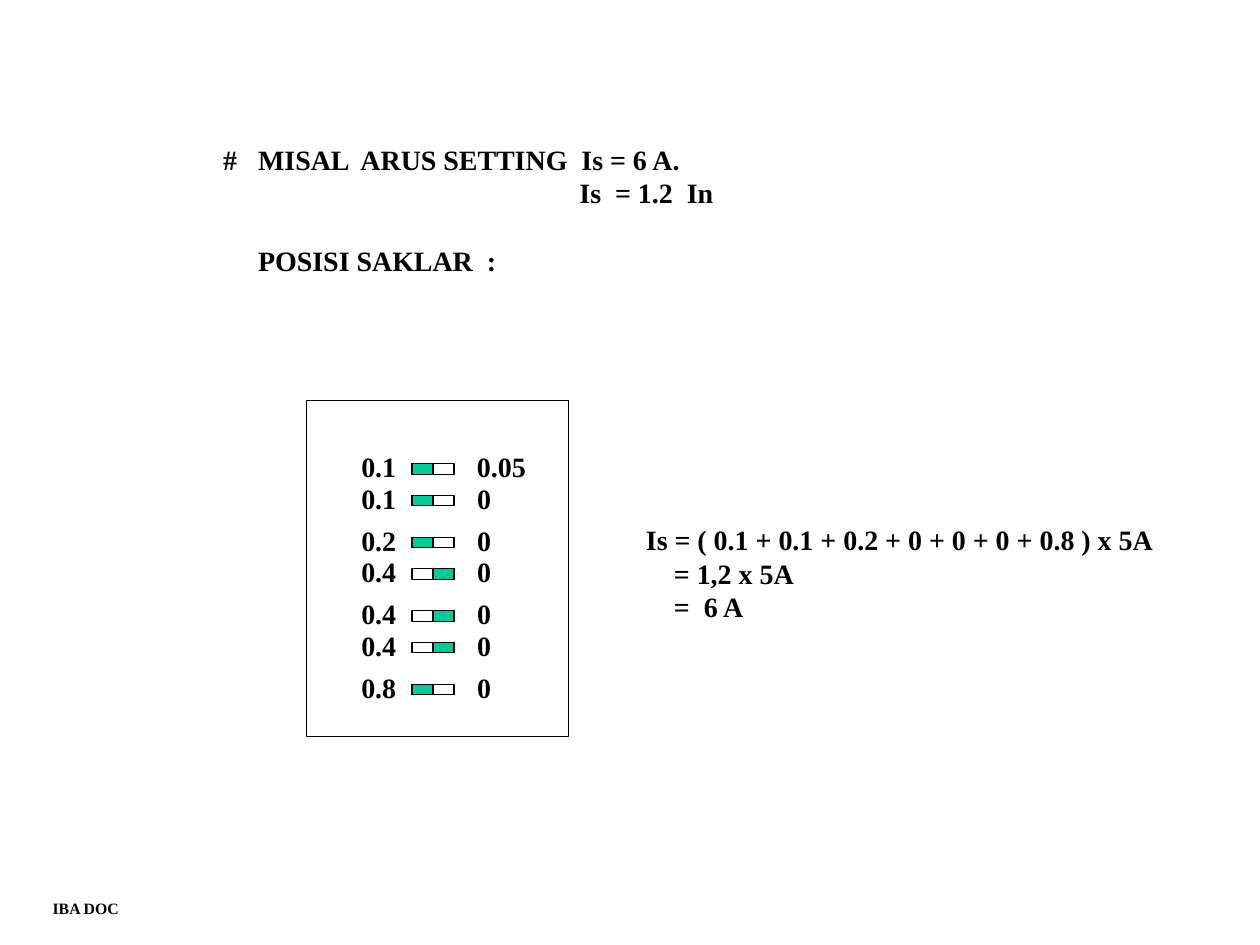
from pptx import Presentation
from pptx import util as u
from pptx.dml.color import RGBColor
from pptx.enum import shapes, text

BLACK = RGBColor(0x00, 0x00, 0x00)
GREEN = RGBColor(0x00, 0xCC, 0x99)
SWITCHES = [
    ("0.1", "0.05", True),
    ("0.1", "0", True),
    ("0.2", "0", True),
    ("0.4", "0", False),
    ("0.4", "0", False),
    ("0.4", "0", False),
    ("0.8", "0", True),
]


class SlideWriter:
    """Draws relay setting elements on one slide, with lengths in points."""

    def __init__(self, slide, font="Times New Roman"):
        self.slide = slide
        self.font = font

    def rectangle(self, left, top, width, height, fill=None):
        box = self.slide.shapes.add_shape(
            shapes.MSO_SHAPE.RECTANGLE, u.Pt(left), u.Pt(top), u.Pt(width), u.Pt(height))
        box.shadow.inherit = False
        if fill is None:
            box.fill.background()
        else:
            box.fill.solid()
            box.fill.fore_color.rgb = fill
        box.line.color.rgb = BLACK
        box.line.width = u.Pt(0.75)

    def label(self, left, top, width, height, lines, size=16):
        box = self.slide.shapes.add_textbox(u.Pt(left), u.Pt(top), u.Pt(width), u.Pt(height))
        frame = box.text_frame
        frame.word_wrap = True
        frame.auto_size = text.MSO_AUTO_SIZE.SHAPE_TO_FIT_TEXT
        frame.text = "\n".join(lines)
        for para in frame.paragraphs:
            for span in para.runs:
                span.font.name = self.font
                span.font.size = u.Pt(size)
                span.font.bold = True
                span.font.color.rgb = BLACK
        return frame.paragraphs

    def indent(self, para, margin, hanging=0):
        properties = para._p.get_or_add_pPr()
        properties.set("marL", str(u.Pt(margin)))
        properties.set("indent", str(-u.Pt(hanging)))

    def switch(self, top, left_value, right_value, is_left):
        left, width, height = 235.4, 24, 6
        half = width / 2
        self.rectangle(left, top, width, height)
        self.rectangle(left if is_left else left + half, top, half, height, GREEN)
        label_top = top - 11.6
        self.label(199.4, label_top, 35.5, 26.6, [left_value])
        self.label(265.5, label_top, 16 + 7 * len(right_value), 26.6, [right_value])


def main():
    deck = Presentation()
    deck.slide_width, deck.slide_height = u.Pt(720), u.Pt(540)
    page = SlideWriter(deck.slides.add_slide(deck.slide_layouts[6]))

    for index, (left_value, right_value, is_left) in enumerate(SWITCHES):
        pair, member = divmod(index, 2)
        page.switch(265 + 42 * pair + 18 * member, left_value, right_value, is_left)
    page.rectangle(175, 229, 150, 192)

    example, ratio, position = page.label(120.4, 77.8, 300, 84, [
        "#\tMISAL  ARUS SETTING  Is = 6 A.", "Is  = 1.2  In", "POSISI SAKLAR  :"])
    page.indent(example, 20, hanging=20)
    page.indent(ratio, 203.6)
    page.indent(position, 20)
    position.space_before = u.Pt(19.2)

    formula = page.label(362, 295.2, 306, 64.8, [
        "Is = ( 0.1 + 0.1 + 0.2 + 0 + 0 + 0 + 0.8 ) x 5A", "= 1,2 x 5A", "=  6 A"])
    for para in formula[1:]:
        page.indent(para, 16)

    page.label(23, 509.8, 54, 18, ["IBA DOC"], size=9)
    deck.save("out.pptx")


if __name__ == "__main__":
    main()
